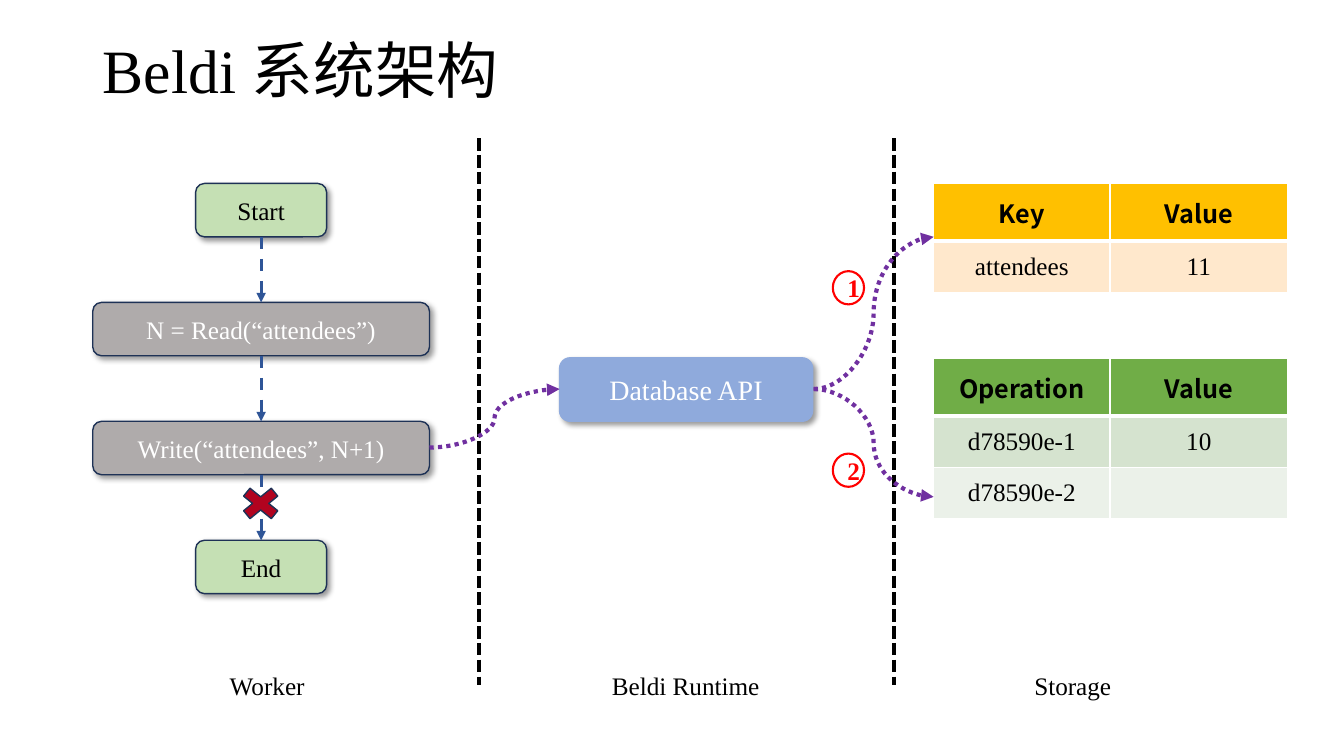
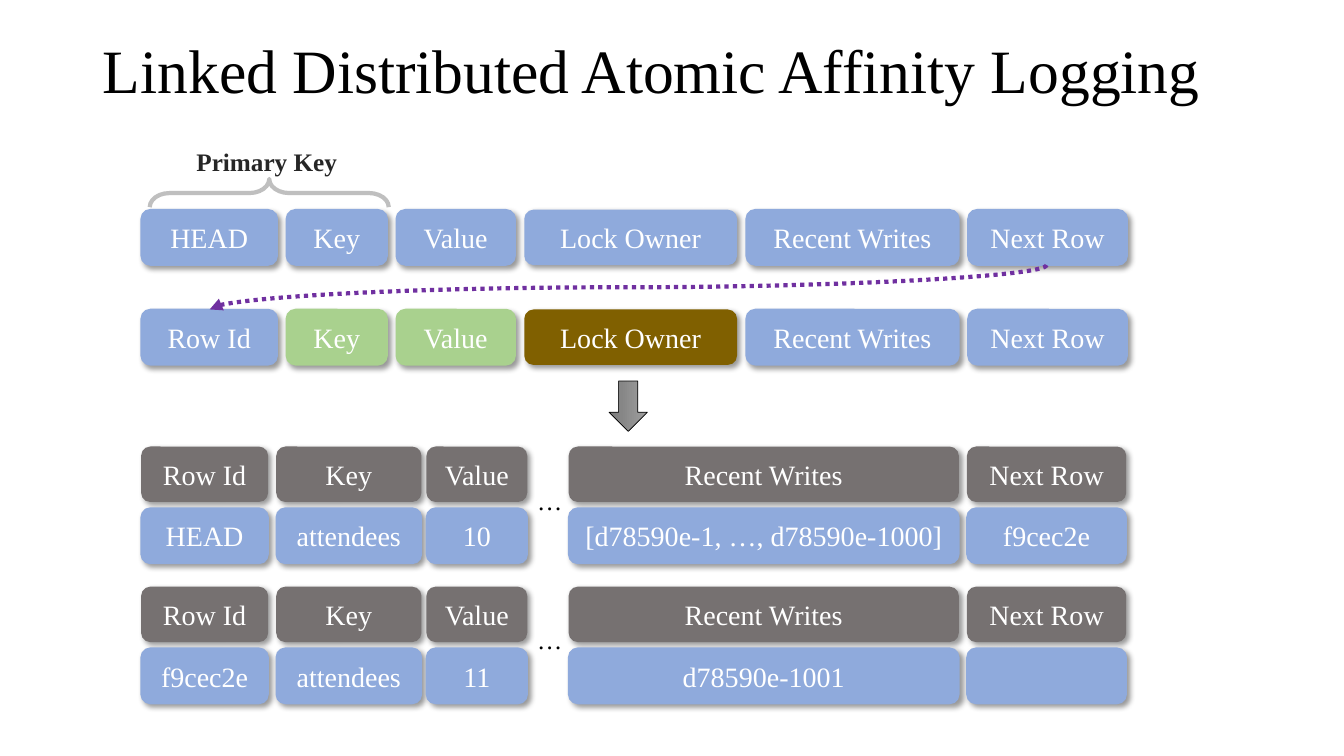
"""Build two slides on the Beldi architecture and its linked logging."""
from lxml.etree import SubElement
from pptx import Presentation
from pptx.dml.color import RGBColor
from pptx.enum.dml import MSO_LINE
from pptx.enum.shapes import MSO_CONNECTOR, MSO_SHAPE
from pptx.enum.text import MSO_ANCHOR, MSO_AUTO_SIZE, PP_ALIGN
from pptx.oxml.ns import qn
from pptx.util import Inches, Pt

BLACK = RGBColor(0x00, 0x00, 0x00)
WHITE = RGBColor(0xFF, 0xFF, 0xFF)
INK = RGBColor(0x26, 0x26, 0x26)
NAVY = RGBColor(0x1E, 0x32, 0x56)
ARROW_BLUE = RGBColor(0x2F, 0x55, 0x97)
BLUE = RGBColor(0x8F, 0xAA, 0xDC)
PALE_GREEN = RGBColor(0xC5, 0xE0, 0xB4)
GREEN = RGBColor(0xA9, 0xD1, 0x8E)
BROWN = RGBColor(0x80, 0x60, 0x00)
STEP_GRAY = RGBColor(0xAF, 0xAB, 0xAB)
HEAD_GRAY = RGBColor(0x76, 0x71, 0x71)
BRACE_GRAY = RGBColor(0xBF, 0xBF, 0xBF)
PURPLE = RGBColor(0x70, 0x30, 0xA0)
RED = RGBColor(0xFF, 0x00, 0x00)
CROSS_RED = RGBColor(0xB1, 0x03, 0x1F)
GOLD = RGBColor(0xFF, 0xC0, 0x00)
PEACH = RGBColor(0xFF, 0xE8, 0xCC)
TABLE_GREEN = RGBColor(0x70, 0xAD, 0x47)
BAND_DARK = RGBColor(0xD5, 0xE3, 0xCF)
BAND_LIGHT = RGBColor(0xEB, 0xF1, 0xE9)
LIGHT_STOP = RGBColor(0x9D, 0x9D, 0x9D)
DARK_STOP = RGBColor(0x7C, 0x7C, 0x7C)
SERIF = "Times New Roman"
SANS = "Noto Sans CJK SC"


def add_box(s, text, x, y, w, h, fill, line=None, color=WHITE, size=20):
    """Add a rounded box with a soft shadow and centred text."""
    sp = s.shapes.add_shape(MSO_SHAPE.ROUNDED_RECTANGLE, Inches(x), Inches(y), Inches(w), Inches(h))
    sp.fill.solid()
    sp.fill.fore_color.rgb = fill
    if line is None:
        sp.line.fill.background()
    else:
        sp.line.color.rgb = line
        sp.line.width = Pt(1)
    sp.shadow.inherit = False
    effects = sp.element.spPr.find(qn("a:effectLst"))
    shadow = SubElement(effects, qn("a:outerShdw"), blurRad=str(Pt(4)), dist=str(Pt(3)),
                        dir="2700000", algn="tl", rotWithShape="0")
    clr = SubElement(shadow, qn("a:srgbClr"), val=str(BLACK))
    SubElement(clr, qn("a:alpha"), val="40000")
    p = sp.text_frame.paragraphs[0]
    p.text = text
    p.alignment = PP_ALIGN.CENTER
    p.font.name = SERIF
    p.font.size = Pt(size)
    p.font.color.rgb = color
    return sp


def add_line(s, kind, start, end, color, width, dash, arrow=True):
    """Add a dashed connector, with an arrowhead unless told otherwise."""
    c = s.shapes.add_connector(kind, *[Inches(v) for v in start + end])
    c.line.color.rgb = color
    c.line.width = Pt(width)
    c.line.dash_style = dash
    if arrow:
        SubElement(c.line._get_or_add_ln(), qn("a:tailEnd"), type="triangle")
    SubElement(c.element.spPr, qn("a:effectLst"))
    return c


prs = Presentation()
prs.slide_width = Inches(13.33)
prs.slide_height = Inches(7.5)

for title in ["Beldi 系统架构", "Linked Distributed Atomic Affinity Logging"]:
    s = prs.slides.add_slide(prs.slide_layouts[5])
    sp = s.shapes.title
    sp.left, sp.top, sp.width, sp.height = Inches(0.92), Inches(0), Inches(11.5), Inches(1.45)
    tf = sp.text_frame
    tf.text = title
    tf.auto_size = MSO_AUTO_SIZE.NONE
    tf.vertical_anchor = MSO_ANCHOR.MIDDLE
    p = tf.paragraphs[0]
    p.alignment = PP_ALIGN.LEFT
    p.line_spacing = 0.9
    p.font.name = SERIF
    p.font.size = Pt(44)
    p.font.color.rgb = BLACK
arch, logging = prs.slides

steps = []
for i, (text, w, fill, color) in enumerate([
    ("Start", 1.3, PALE_GREEN, BLACK),
    ("N = Read(“attendees”)", 3.34, STEP_GRAY, WHITE),
    ("Write(“attendees”, N+1)", 3.34, STEP_GRAY, WHITE),
    ("End", 1.3, PALE_GREEN, BLACK),
]):
    steps.append(add_box(arch, text, 2.59 - w / 2, 1.82 + 1.18 * i, w, 0.53, fill, NAVY, color, 18))
for i in range(3):
    y = 2.35 + 1.18 * i
    c = add_line(arch, MSO_CONNECTOR.STRAIGHT, (2.59, y), (2.59, y + 0.65), ARROW_BLUE, 2.25, MSO_LINE.DASH)
    c.begin_connect(steps[i], 2)
    c.end_connect(steps[i + 1], 0)

for x in [4.75, 8.87]:
    add_line(arch, MSO_CONNECTOR.STRAIGHT, (x, 1.37), (x, 6.8), BLACK, 3, MSO_LINE.SQUARE_DOT, arrow=False)

for y, heights, rows, fills in [
    (1.82, [0.57, 0.51], [("Key", "Value"), ("attendees", "11")], [GOLD, PEACH]),
    (3.56, [0.57, 0.51, 0.51], [("Operation", "Value"), ("d78590e-1", "10"), ("d78590e-2", "")],
     [TABLE_GREEN, BAND_DARK, BAND_LIGHT]),
]:
    frame = arch.shapes.add_table(len(rows), 2, Inches(9.26), Inches(y), Inches(3.51), Inches(sum(heights)))
    table = frame.table
    table.columns[0].width = Inches(1.75)
    table.columns[1].width = Inches(1.76)
    for i, row in enumerate(rows):
        table.rows[i].height = Inches(heights[i])
        for j, text in enumerate(row):
            cell = table.cell(i, j)
            for side in "LRTB":
                thick = (side == "B" and i == 0) or (side == "T" and i == 1)
                ln = SubElement(cell._tc.get_or_add_tcPr(), qn("a:ln" + side), w=str(Pt(3 if thick else 1)))
                SubElement(SubElement(ln, qn("a:solidFill")), qn("a:srgbClr"), val=str(WHITE))
            cell.fill.solid()
            cell.fill.fore_color.rgb = fills[i]
            cell.vertical_anchor = MSO_ANCHOR.MIDDLE
            p = cell.text_frame.paragraphs[0]
            p.text = text
            p.alignment = PP_ALIGN.CENTER
            p.font.name = SANS if i == 0 else SERIF
            p.font.size = Pt(18)
            p.font.bold = i == 0
            p.font.color.rgb = BLACK

add_box(arch, "Database API", 5.55, 3.55, 2.51, 0.63, BLUE, BLUE)
for start, end in [((4.26, 4.44), (5.55, 3.86)), ((8.07, 3.86), (9.26, 2.35)), ((8.07, 3.86), (9.26, 4.93))]:
    add_line(arch, MSO_CONNECTOR.CURVE, start, end, PURPLE, 3, MSO_LINE.ROUND_DOT)

for text, y in [("1", 2.69), ("2", 4.5)]:
    sp = arch.shapes.add_shape(MSO_SHAPE.OVAL, Inches(8.26), Inches(y), Inches(0.31), Inches(0.33))
    sp.shadow.inherit = False
    sp.fill.background()
    sp.line.color.rgb = RED
    sp.line.width = Pt(1.5)
    p = sp.text_frame.paragraphs[0]
    p.text = text
    p.alignment = PP_ALIGN.CENTER
    p.font.name = SERIF
    p.font.size = Pt(18)
    p.font.bold = True
    p.font.color.rgb = RED

cross = arch.shapes.add_shape(MSO_SHAPE.MATH_MULTIPLY, Inches(2.37), Inches(4.73), Inches(0.43), Inches(0.53))
cross.rotation = 90
cross.shadow.inherit = False
cross.fill.solid()
cross.fill.fore_color.rgb = CROSS_RED
cross.line.color.rgb = NAVY
cross.line.width = Pt(1)

fields = ["Key", "Value", "Lock Owner", "Recent Writes", "Next Row"]
widths = [1.35, 1, 1.18, 2.11, 2.11, 1.58]
for y, first, fills in [
    (2.08, "HEAD", [BLUE] * 6),
    (3.07, "Row Id", [BLUE, GREEN, GREEN, BROWN, BLUE, BLUE]),
]:
    x = 1.4
    for text, w, fill in zip([first] + fields, widths, fills):
        add_box(logging, text, x, y, w, 0.55, fill, None if text == "Lock Owner" else fill)
        x += w + 0.09

c = add_line(logging, MSO_CONNECTOR.CURVE, (6.01, -1.3), (6.45, 7), PURPLE, 3, MSO_LINE.ROUND_DOT)
c.element.spPr.find(qn("a:xfrm")).set("rot", "5400000")

brace = logging.shapes.add_shape(MSO_SHAPE.LEFT_BRACE, Inches(2.53), Inches(0.73), Inches(0.28), Inches(2.37))
brace.rotation = 90
brace.adjustments[0] = 0.7
brace.adjustments[1] = 0.5
brace.shadow.inherit = False
brace.fill.background()
brace.line.color.rgb = BRACE_GRAY
brace.line.width = Pt(3)

arrow = logging.shapes.add_shape(MSO_SHAPE.RIGHT_ARROW, Inches(5.98), Inches(3.84), Inches(0.5), Inches(0.38))
arrow.rotation = 90
arrow.shadow.inherit = False
arrow.fill.gradient()
arrow.fill.gradient_angle = 270
for stop, color in zip(arrow.fill.gradient_stops, [LIGHT_STOP, DARK_STOP]):
    stop.color.rgb = color
arrow.line.color.rgb = BLACK
arrow.line.width = Pt(0.5)

columns = [(1.4, 1.26), (2.74, 1.44), (4.23, 1), (5.64, 3.87), (9.59, 1.58)]
header = ["Row Id", "Key", "Value", "Recent Writes", "Next Row"]
for y, record in [
    (4.43, ["HEAD", "attendees", "10", "[d78590e-1, …, d78590e-1000]", "f9cec2e"]),
    (5.82, ["f9cec2e", "attendees", "11", "d78590e-1001", ""]),
]:
    for (x, w), name, value in zip(columns, header, record):
        add_box(logging, name, x, y, w, 0.55, HEAD_GRAY)
        add_box(logging, value, x, y + 0.61, w, 0.55, BLUE, BLUE)

for s, text, x, y, w, bold, color in [
    (arch, "Worker", 2.18, 6.6, 0.95, False, BLACK),
    (arch, "Beldi Runtime", 5.97, 6.6, 1.68, False, BLACK),
    (arch, "Storage", 10.16, 6.6, 0.97, False, BLACK),
    (logging, "Primary Key", 1.85, 1.4, 1.61, True, INK),
    (logging, "…", 5.23, 4.77, 0.6, False, BLACK),
    (logging, "…", 5.23, 6.14, 0.6, False, BLACK),
]:
    tf = s.shapes.add_textbox(Inches(x), Inches(y), Inches(w), Inches(0.4)).text_frame
    tf.word_wrap = text == "…"
    p = tf.paragraphs[0]
    p.text = text
    p.font.name = SERIF
    p.font.size = Pt(18)
    p.font.bold = bold
    p.font.color.rgb = color

prs.save("out.pptx")
